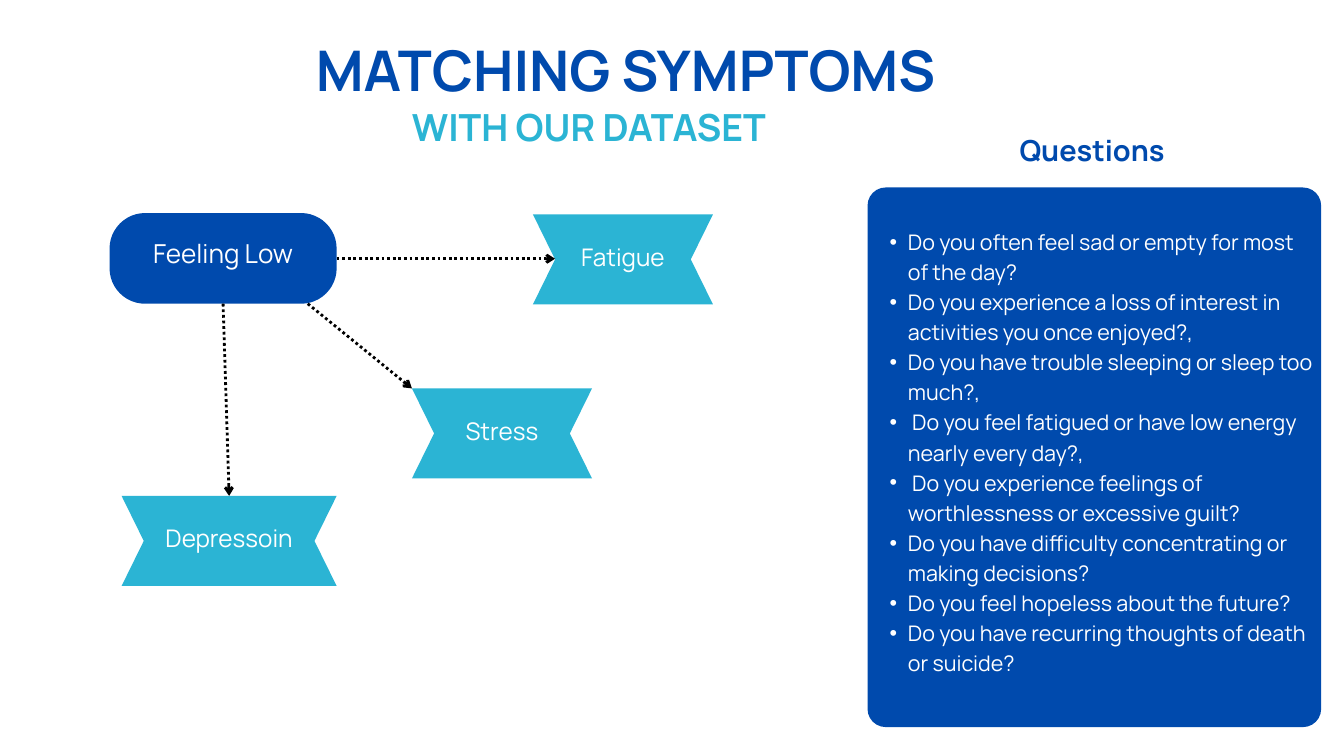
"""Build the symptom matching slide."""
import pptx
import pptx.dml.color
import pptx.enum.dml
import pptx.enum.shapes
import pptx.enum.text
import pptx.oxml
import pptx.oxml.ns
import pptx.util

Inches = pptx.util.Inches
Pt = pptx.util.Pt
RGBColor = pptx.dml.color.RGBColor
ALIGN = pptx.enum.text.PP_ALIGN
ANCHOR = pptx.enum.text.MSO_ANCHOR

BLUE = RGBColor(0x00, 0x4A, 0xAD)
CYAN = RGBColor(0x2B, 0xB4, 0xD4)
WHITE = RGBColor(0xFF, 0xFF, 0xFF)
BLACK = RGBColor(0x00, 0x00, 0x00)

QUESTIONS = [
    "Do you often feel sad or empty for most of the day?",
    "Do you experience a loss of interest in activities you once enjoyed?,",
    "Do you have trouble sleeping or sleep too much?,",
    " Do you feel fatigued or have low energy nearly every day?,",
    " Do you experience feelings of worthlessness or excessive guilt?",
    "Do you have difficulty concentrating or making decisions?",
    "Do you feel hopeless about the future?",
    "Do you have recurring thoughts of death or suicide?",
]
RIBBONS = [
    ("Fatigue", 7.93, 3.19, 2.68),
    ("Depressoin", 1.81, 7.38, 3.2),
    ("Stress", 6.13, 5.78, 2.68),
]
ARROWS = [
    (5.01, 3.85, 8.26, 3.85),
    (4.58, 4.52, 6.13, 5.78),
    (3.32, 4.52, 3.41, 7.38),
]


class SlideBuilder:
    """Holds the style and the current slide."""

    font = "Manrope"
    ribbon_height = 1.34
    notch = 0.33

    def __init__(self, slide):
        self.slide = slide

    def paint(self, sp, color):
        sp.shadow.inherit = False
        sp.fill.solid()
        sp.fill.fore_color.rgb = color
        sp.line.fill.background()

    def text(self, lines, x, y, w, h, size, color, spacing, bold=False,
             align=ALIGN.CENTER, anchor=ANCHOR.MIDDLE, inset=0.06):
        tf = self.slide.shapes.add_textbox(
            Inches(x), Inches(y), Inches(w), Inches(h)).text_frame
        tf.word_wrap = True
        tf.vertical_anchor = anchor
        tf.margin_left = tf.margin_right = Inches(inset)
        tf.margin_top = tf.margin_bottom = Inches(inset)
        tf.text = "\n".join(lines)
        for p in tf.paragraphs:
            p.alignment = align
            p.line_spacing = Pt(spacing)
            for r in p.runs:
                r.font.name = self.font
                r.font.size = Pt(size)
                r.font.bold = bold
                r.font.color.rgb = color
        return tf

    def heading(self, text, x, y, w, h, size, color, spacing, align=ALIGN.LEFT):
        self.text([text], x, y, w, h, size, color, spacing, bold=True,
                  align=align, anchor=ANCHOR.TOP, inset=0)

    def rounded(self, x, y, w, h, radius, color):
        sp = self.slide.shapes.add_shape(
            pptx.enum.shapes.MSO_SHAPE.ROUNDED_RECTANGLE,
            Inches(x), Inches(y), Inches(w), Inches(h))
        sp.adjustments[0] = radius / min(w, h)
        self.paint(sp, color)

    def ribbon(self, label, x, y, w):
        h, n = self.ribbon_height, self.notch
        points = [(x, y), (x + n, y + h / 2), (x, y + h),
                  (x + w, y + h), (x + w - n, y + h / 2)]
        builder = self.slide.shapes.build_freeform(Inches(x + w), Inches(y))
        builder.add_line_segments([(Inches(a), Inches(b)) for a, b in points])
        self.paint(builder.convert_to_shape(), CYAN)
        self.text([label], x + 0.3, y - 0.16, w - 0.6, h + 0.16, 26, WHITE, 36.4)

    def arrow(self, x1, y1, x2, y2):
        sp = self.slide.shapes.add_connector(
            pptx.enum.shapes.MSO_CONNECTOR.STRAIGHT,
            Inches(x1), Inches(y1), Inches(x2), Inches(y2))
        sp.line.color.rgb = BLACK
        sp.line.width = Pt(3)
        sp.line.dash_style = pptx.enum.dml.MSO_LINE.ROUND_DOT
        qn = pptx.oxml.ns.qn
        sp_pr = sp._element.spPr
        tail = sp_pr.find(qn("a:ln")).makeelement(qn("a:tailEnd"), {"type": "arrow"})
        sp_pr.find(qn("a:ln")).append(tail)
        sp_pr.append(sp_pr.makeelement(qn("a:effectLst"), {}))

    def bullets(self, lines, x, y, w, h):
        tf = self.text(lines, x, y, w, h, 23, WHITE, 32.2, align=ALIGN.LEFT)
        qn = pptx.oxml.ns.qn
        for p in tf.paragraphs:
            p.level = 1
            p_pr = p._p.get_or_add_pPr()
            p_pr.set("marL", str(Inches(0.54)))
            p_pr.set("indent", str(Inches(-0.27)))
            p_pr.append(p_pr.makeelement(qn("a:buFont"), {"typeface": "Arial"}))
            p_pr.append(p_pr.makeelement(qn("a:buChar"), {"char": "•"}))


def main():
    prs = pptx.Presentation()
    prs.slide_width, prs.slide_height = Inches(20), Inches(11.25)
    s = SlideBuilder(prs.slides.add_slide(prs.slide_layouts[6]))

    s.rounded(1.63, 3.17, 3.38, 1.35, 0.53, BLUE)
    s.text(["Feeling Low"], 1.63, 2.93, 3.38, 1.59, 28, WHITE, 39.2)
    for ribbon in RIBBONS:
        s.ribbon(*ribbon)
    for arrow in ARROWS:
        s.arrow(*arrow)

    s.rounded(12.91, 2.79, 6.75, 8.03, 0.27, BLUE)
    s.bullets(QUESTIONS, 12.91, 2.59, 6.75, 8.22)

    s.heading("MATCHING SYMPTOMS", 4.7, 0.7, 10.44, 0.89, 60, BLUE, 60)
    s.heading("WITH OUR DATASET", 6.13, 1.66, 11.31, 0.57, 40, CYAN, 39.6)
    s.heading("Questions", 15.14, 1.8, 2.22, 0.64, 31, BLUE, 49.6, ALIGN.CENTER)
    prs.save("out.pptx")


if __name__ == "__main__":
    main()
